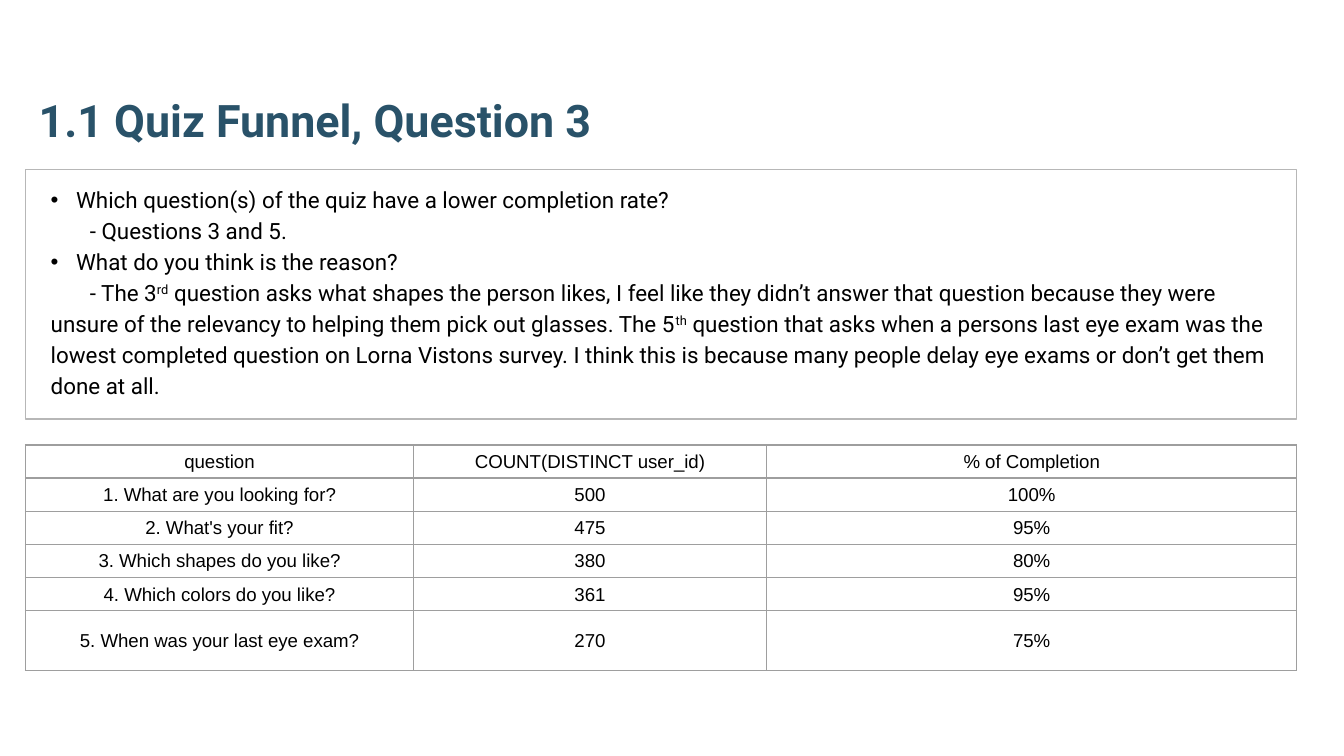
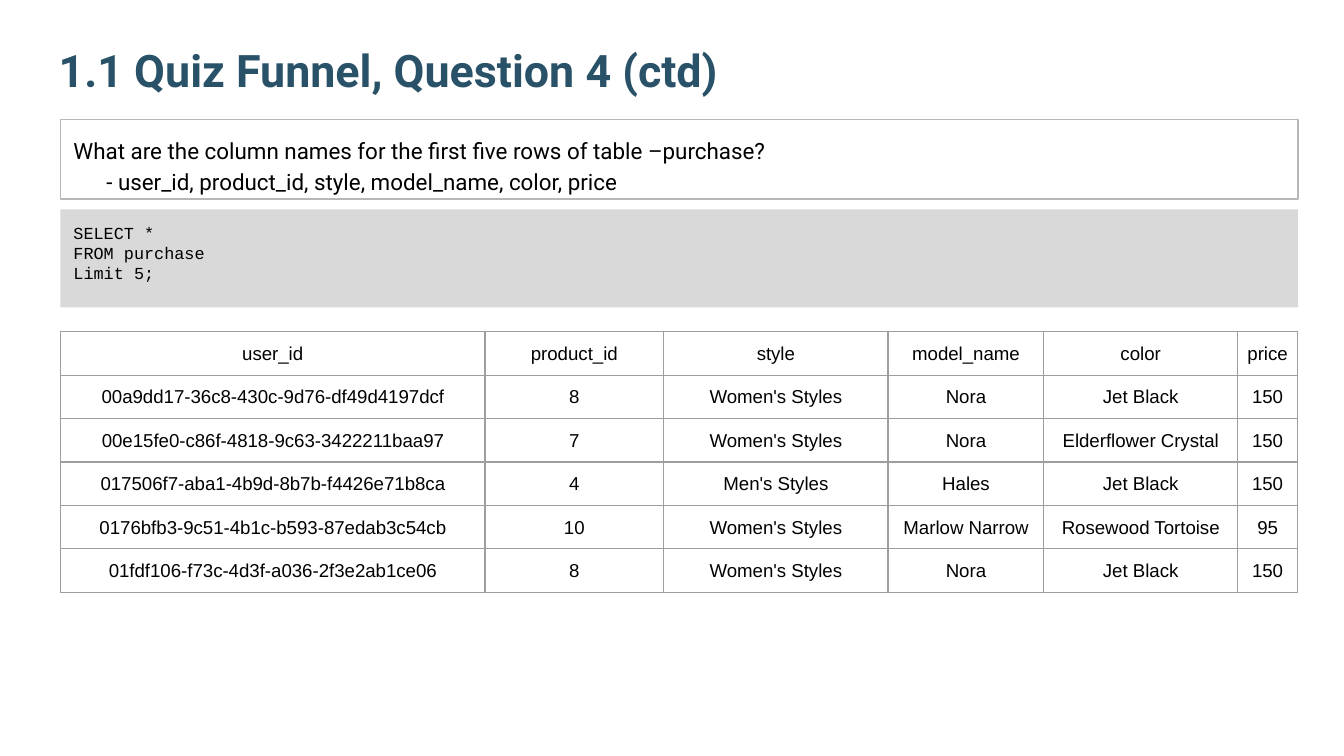
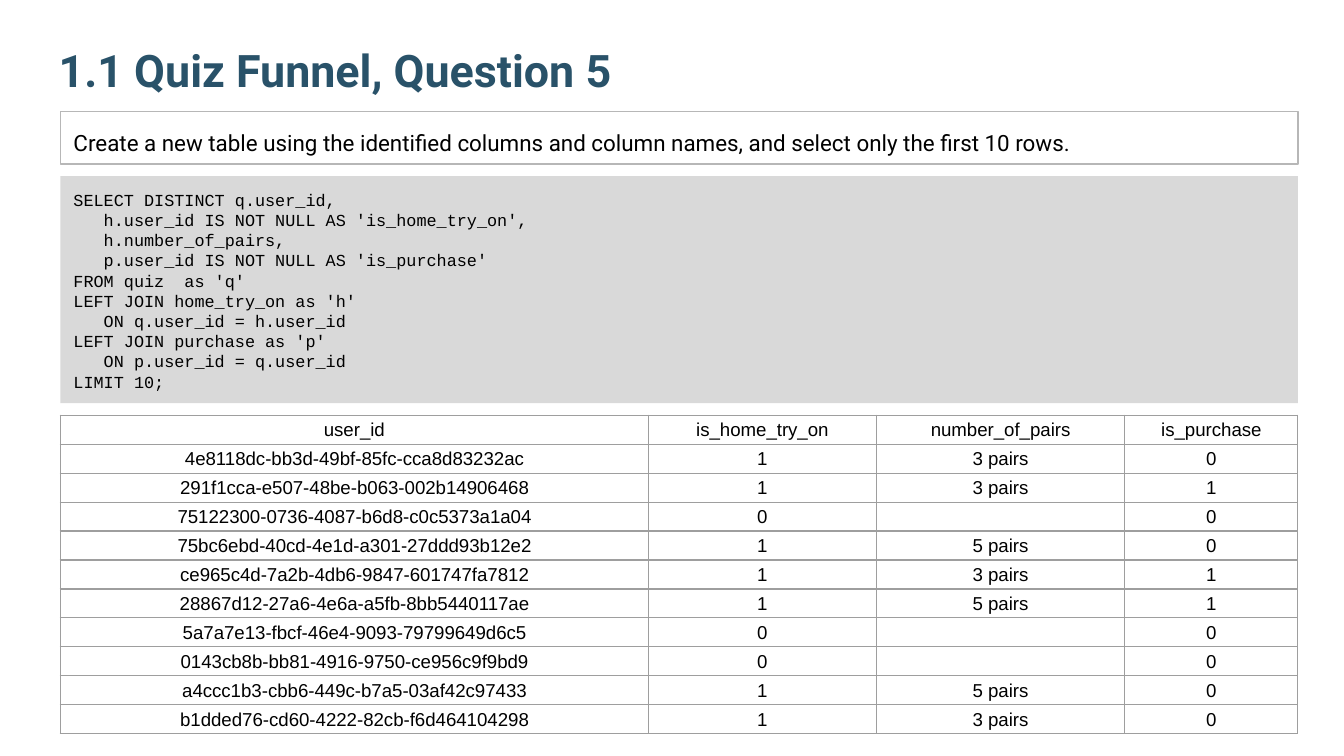
"""Build three quiz funnel slides."""
from dataclasses import dataclass
from typing import NamedTuple

from lxml import etree
from pptx import Presentation
from pptx import util as u
from pptx.dml.color import RGBColor
from pptx.enum import shapes, text
from pptx.oxml.ns import qn


class Type(NamedTuple):
    """Describe a text style."""
    face: str
    size: float
    color: str = "000000"
    bold: bool = False


@dataclass(frozen=True)
class Theme:
    """Hold the look shared by all slides."""
    head: Type = Type("Roboto", 24, "295269", True)
    body: Type = Type("Roboto", 12)
    code: Type = Type("Courier New", 9)
    cell: Type = Type("Arial", 10)
    edge: str = "B7B7B7"
    grid: str = "9E9E9E"
    band: str = "D9D9D9"
    line: float = 0.75
    pad: float = 0.25
    lead: float = 1.15
    hang: float = 0.48


LOOK = Theme()
LEFT, WIDE = 1.14, 23.39
TOP = (0.86, 0.48, 23.67, 1.6)


def span(box):
    """Turn a box in centimetres into lengths."""
    return [u.Cm(n) for n in box]


def ink(code):
    """Turn a hex code into a colour."""
    return RGBColor.from_string(code)


def style(para, kind):
    """Format all runs of a paragraph."""
    for run in para.runs:
        font = run.font
        font.name, font.bold = kind.face, kind.bold
        font.size, font.color.rgb = u.Pt(kind.size), ink(kind.color)


def frame(shape, anchor, left=LOOK.pad):
    """Prepare the text frame of a shape."""
    area = shape.text_frame
    area.word_wrap, area.vertical_anchor = True, anchor
    area.margin_left = u.Cm(left)
    area.margin_top = area.margin_right = area.margin_bottom = u.Cm(LOOK.pad)
    return area


def fill(area, words, kind):
    """Write lines into a frame, one paragraph each."""
    area.text = words
    for para in area.paragraphs:
        para.alignment = text.PP_ALIGN.LEFT
        style(para, kind)


def panel(slide, box):
    """Add a plain rectangle."""
    shape = slide.shapes.add_shape(shapes.MSO_SHAPE.RECTANGLE, *span(box))
    shape.shadow.inherit = False
    shape.fill.background()
    shape.line.fill.background()
    return shape


def title(slide, box, words):
    """Add the slide title."""
    shape = slide.shapes.add_textbox(*span(box))
    fill(frame(shape, text.MSO_ANCHOR.BOTTOM), words, LOOK.head)


def dot(para):
    """Give a paragraph a hanging bullet."""
    props = para._p.get_or_add_pPr()
    hang = u.Cm(LOOK.hang)
    props.set("marL", str(hang))
    props.set("indent", str(-hang))
    tint = etree.SubElement(props, qn("a:buClr"))
    etree.SubElement(tint, qn("a:srgbClr"), val=LOOK.body.color)
    etree.SubElement(props, qn("a:buFont"), typeface="Arial")
    etree.SubElement(props, qn("a:buChar"), char="•")


def prompt(slide, box, lines, left=LOOK.pad, step=0.62):
    """Add the outlined box of questions and answers."""
    shape = panel(slide, box)
    shape.line.color.rgb, shape.line.width = ink(LOOK.edge), u.Pt(LOOK.line)
    area = frame(shape, text.MSO_ANCHOR.TOP, left)
    for row, words in enumerate(lines):
        para = area.add_paragraph() if row else area.paragraphs[0]
        para.alignment, para.line_spacing = text.PP_ALIGN.LEFT, LOOK.lead
        if words.startswith("• "):
            dot(para)
        elif words.startswith("- "):
            para._p.get_or_add_pPr().set("indent", str(u.Cm(step)))
        for spot, part in enumerate(words.removeprefix("• ").split("^")):
            run = para.add_run()
            run.text = part
            if spot % 2:
                run.font._element.set("baseline", "30000")
        style(para, LOOK.body)


def query(slide, box, words):
    """Add the grey band with a query."""
    shape = panel(slide, box)
    shape.fill.solid()
    shape.fill.fore_color.rgb = ink(LOOK.band)
    fill(frame(shape, text.MSO_ANCHOR.TOP), words, LOOK.code)


def rule(cell):
    """Draw the four borders of a cell."""
    props = cell._tc.get_or_add_tcPr()
    for spot, side in enumerate(("lnL", "lnR", "lnT", "lnB")):
        line = etree.Element(qn(f"a:{side}"), w=str(u.Pt(LOOK.line)))
        paint = etree.SubElement(line, qn("a:solidFill"))
        etree.SubElement(paint, qn("a:srgbClr"), val=LOOK.grid)
        props.insert(spot, line)


def entry(cell, words):
    """Fill and format one table cell."""
    cell.fill.background()
    cell.vertical_anchor = text.MSO_ANCHOR.MIDDLE
    cell.margin_left = cell.margin_top = cell.margin_right = u.Cm(0.02)
    cell.margin_bottom = 0
    cell.text = words
    para = cell.text_frame.paragraphs[0]
    para.alignment = text.PP_ALIGN.CENTER
    style(para, LOOK.cell)
    if not words:
        etree.SubElement(para._p, qn("a:endParaRPr"), sz=str(LOOK.cell.size * 100))
    rule(cell)


def share(lanes, whole, parts):
    """Split a length among rows or columns by weight."""
    return zip(lanes, [u.Cm(whole * part / sum(parts)) for part in parts])


def chart(slide, box, cols, rows, tall=None):
    """Add a result table with weighted columns and rows."""
    grid = slide.shapes.add_table(len(rows), len(cols), *span(box)).table
    grid.first_row = grid.horz_banding = False
    for col, size in share(grid.columns, box[2], cols):
        col.width = size
    for row, size in share(grid.rows, box[3], tall or [1] * len(rows)):
        row.height = size
    for row, items in zip(grid.rows, rows):
        for cell, words in zip(row.cells, items):
            entry(cell, words)


def rates(slide):
    """Build the slide on completion rates."""
    left, wide = 0.48, 24.03
    title(slide, (left, 0.91, wide, 2.11), "1.1 Quiz Funnel, Question 3")
    prompt(slide, (left, 3.2, wide, 4.72), [
        "• Which question(s) of the quiz have a lower completion rate?",
        "- Questions 3 and 5.",
        "• What do you think is the reason?",
        "- The 3^rd^ question asks what shapes the person likes, I feel like they "
        "didn’t answer that question because they were unsure of the relevancy to "
        "helping them pick out glasses. The 5^th^ question that asks when a persons "
        "last eye exam was the lowest completed question on Lorna Vistons survey. "
        "I think this is because many people delay eye exams or don’t get them "
        "done at all.",
    ], LOOK.hang, 0.74)
    chart(slide, (left, 8.41, wide, 4.27), (2.89, 2.63, 3.95), [
        ("question", "COUNT(DISTINCT user_id)", "% of Completion"),
        ("1. What are you looking for?", "500", "100%"),
        ("2. What's your fit?", "475", "95%"),
        ("3. Which shapes do you like?", "380", "80%"),
        ("4. Which colors do you like?", "361", "95%"),
        ("5. When was your last eye exam?", "270", "75%"),
    ], (5, 5, 5, 5, 5, 9))


def sales(slide):
    """Build the slide on the purchase table."""
    names = ("user_id", "product_id", "style", "model_name", "color", "price")
    title(slide, TOP, "1.1 Quiz Funnel, Question 4 (ctd)")
    query(slide, (LEFT, 3.96, WIDE, 1.85), "SELECT *\nFROM purchase\nLimit 5;")
    prompt(slide, (LEFT, 2.26, WIDE, 1.5), [
        "What are the column names for the first five rows of table –purchase?",
        "- " + ", ".join(names),
    ])
    women, men, black = "Women's Styles", "Men's Styles", "Jet Black"
    chart(slide, (LEFT, 6.27, WIDE, 4.93), (3.16, 1.33, 1.67, 1.16, 1.44, 0.45), [
        names,
        ("00a9dd17-36c8-430c-9d76-df49d4197dcf", "8", women, "Nora", black, "150"),
        ("00e15fe0-c86f-4818-9c63-3422211baa97", "7", women, "Nora",
         "Elderflower Crystal", "150"),
        ("017506f7-aba1-4b9d-8b7b-f4426e71b8ca", "4", men, "Hales", black, "150"),
        ("0176bfb3-9c51-4b1c-b593-87edab3c54cb", "10", women, "Marlow Narrow",
         "Rosewood Tortoise", "95"),
        ("01fdf106-f73c-4d3f-a036-2f3e2ab1ce06", "8", women, "Nora", black, "150"),
    ])


def funnel(slide):
    """Build the slide on the joined table."""
    title(slide, TOP, "1.1 Quiz Funnel, Question 5")
    query(slide, (LEFT, 3.33, WIDE, 4.29), "\n".join([
        "SELECT DISTINCT q.user_id,",
        "   h.user_id IS NOT NULL AS 'is_home_try_on',",
        "   h.number_of_pairs,",
        "   p.user_id IS NOT NULL AS 'is_purchase'",
        "FROM quiz  as 'q'",
        "LEFT JOIN home_try_on as 'h'",
        "   ON q.user_id = h.user_id",
        "LEFT JOIN purchase as 'p'",
        "   ON p.user_id = q.user_id",
        "LIMIT 10;",
    ]))
    prompt(slide, (LEFT, 2.11, WIDE, 0.99), [
        "Create a new table using the identified columns and column names, "
        "and select only the first 10 rows.",
    ])
    chart(slide, (LEFT, 7.85, WIDE, 6.02), (4.38, 1.7, 1.85, 1.29), [
        ("user_id", "is_home_try_on", "number_of_pairs", "is_purchase"),
        ("4e8118dc-bb3d-49bf-85fc-cca8d83232ac", "1", "3 pairs", "0"),
        ("291f1cca-e507-48be-b063-002b14906468", "1", "3 pairs", "1"),
        ("75122300-0736-4087-b6d8-c0c5373a1a04", "0", "", "0"),
        ("75bc6ebd-40cd-4e1d-a301-27ddd93b12e2", "1", "5 pairs", "0"),
        ("ce965c4d-7a2b-4db6-9847-601747fa7812", "1", "3 pairs", "1"),
        ("28867d12-27a6-4e6a-a5fb-8bb5440117ae", "1", "5 pairs", "1"),
        ("5a7a7e13-fbcf-46e4-9093-79799649d6c5", "0", "", "0"),
        ("0143cb8b-bb81-4916-9750-ce956c9f9bd9", "0", "", "0"),
        ("a4ccc1b3-cbb6-449c-b7a5-03af42c97433", "1", "5 pairs", "0"),
        ("b1dded76-cd60-4222-82cb-f6d464104298", "1", "3 pairs", "0"),
    ])


def main():
    """Build and save the deck."""
    deck = Presentation()
    deck.slide_width, deck.slide_height = span((25.4, 14.29))
    for build in (rates, sales, funnel):
        build(deck.slides.add_slide(deck.slide_layouts[6]))
    deck.save("out.pptx")


if __name__ == "__main__":
    main()
